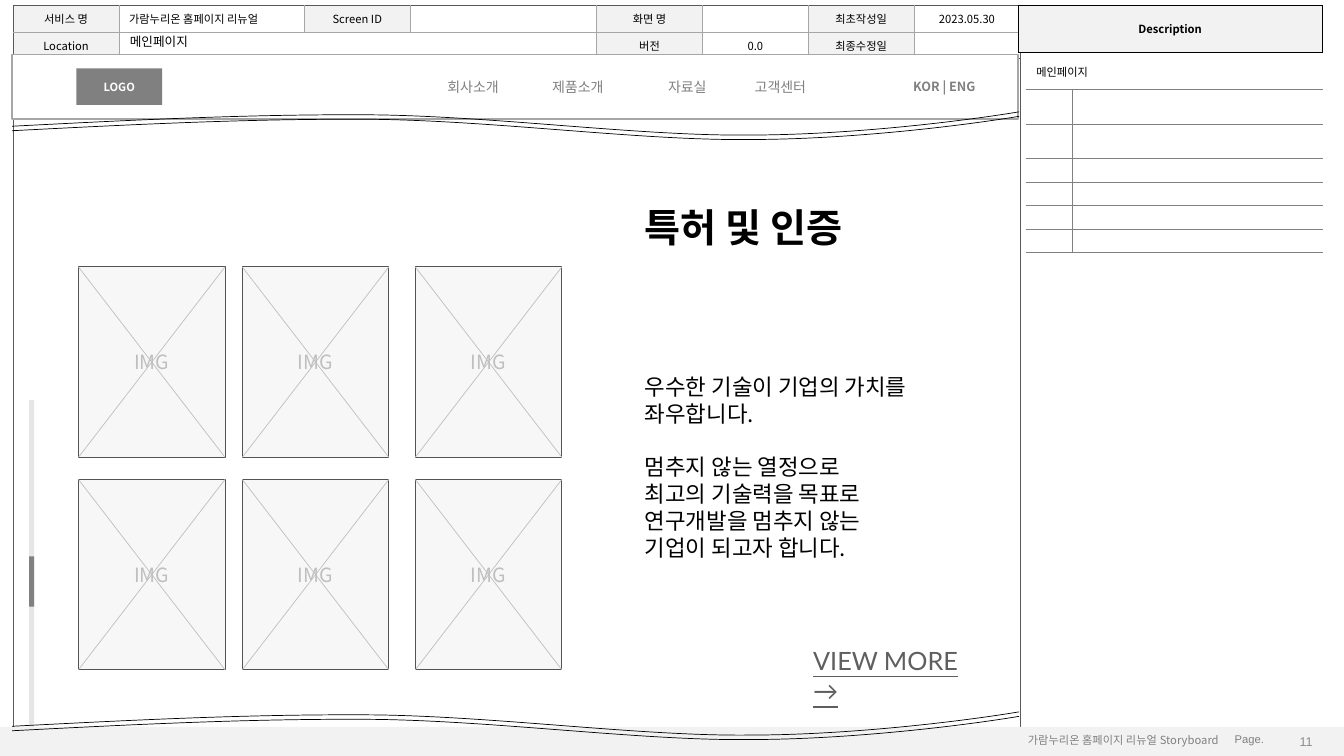
from itertools import product
from typing import NamedTuple

from lxml import etree
from pptx import Presentation, util as u
from pptx.dml.color import RGBColor
from pptx.enum import shapes, text
from pptx.oxml import ns


class Theme:
    """Colours, fonts and type sizes of the storyboard."""
    black, white, panel = "000000", "FFFFFF", "F2F2F2"
    grey, dark, rule, pale = "808080", "595959", "A6A6A6", "BFBFBF"
    frame, track, number, link = "535353", "E7E6E6", "8C8C8C", "5F5F5F"
    korean, plain, latin = "Noto Sans CJK KR", "Arial", "Lato"
    tiny, small, label, menu = 6, 8, 9, 10
    image, body, button, title = 14, 16, 18, 28
    line_ratio = 1.2


class Box(NamedTuple):
    """A rectangle in points."""
    left: float
    top: float
    width: float
    height: float

    def inner(self, left, top, width, height):
        """Return a box placed relative to this one."""
        return Box(self.left + left, self.top + top, width, height)

    def lengths(self):
        """Return the four values as lengths."""
        return [u.Pt(value) for value in self]


LEFT, CENTER, RIGHT = (text.PP_ALIGN.LEFT, text.PP_ALIGN.CENTER,
                       text.PP_ALIGN.RIGHT)
MIDDLE = text.MSO_ANCHOR.MIDDLE
COMPANY = "가람누리온 홈페이지 리뉴얼"


def apply(target, values):
    """Set every attribute named in the values."""
    for name, value in values.items():
        setattr(target, name, value)


def add_child(parent, tag, **attributes):
    """Append a drawing element to its parent."""
    return etree.SubElement(parent, ns.qn(tag), attributes)


def write(para, words, size, color=Theme.black, font=Theme.korean, **styles):
    """Write one formatted span in a paragraph."""
    span = para.add_run()
    span.text = words
    apply(span.font, {"size": u.Pt(size), "name": font, **styles})
    span.font.color.rgb = RGBColor.from_string(color)
    add_child(span.font._element, "a:ea", typeface=font)


def put_text(page, box, lines, size, color=Theme.black, align=LEFT, **styles):
    """Add a text box with one paragraph per line."""
    frame = page.shapes.add_textbox(*box.lengths()).text_frame
    frame.word_wrap = True
    for index, words in enumerate(lines):
        para = frame.add_paragraph() if index else frame.paragraphs[0]
        apply(para, {"alignment": align,
                     "line_spacing": u.Pt(size * Theme.line_ratio)})
        write(para, words, size, color, **styles)
    return frame


def set_line(line, color, width):
    """Colour a line and set its width."""
    line.color.rgb = RGBColor.from_string(color)
    line.width = u.Pt(width)


def put_rect(page, box, fill, line=None, width=1):
    """Add a plain rectangle."""
    rect = page.shapes.add_shape(shapes.MSO_SHAPE.RECTANGLE, *box.lengths())
    rect.shadow.inherit = False
    rect.fill.solid()
    rect.fill.fore_color.rgb = RGBColor.from_string(fill)
    if line:
        set_line(rect.line, line, width)
    else:
        rect.line.fill.background()
    return rect


def label_rect(rect, words, size, color, **styles):
    """Centre a label in a rectangle."""
    rect.text_frame.vertical_anchor = MIDDLE
    para = rect.text_frame.paragraphs[0]
    para.alignment = CENTER
    write(para, words, size, color, **styles)


def put_table(page, box, widths, heights):
    """Add a table without a banded style."""
    table = page.shapes.add_table(len(heights), len(widths),
                                  *box.lengths()).table
    apply(table, {"first_row": False, "horz_banding": False})
    style = table._tbl.tblPr.find(ns.qn("a:tableStyleId"))
    style.text = "{2D5ABB26-0587-4C30-8999-92F81FD0307C}"
    for column, width in zip(table.columns, widths):
        column.width = u.Pt(width)
    for row, height in zip(table.rows, heights):
        row.height = u.Pt(height)
    return table


def fill_cell(cell, words, borders, fill=None, width=0.5, align=CENTER,
              empty=Theme.small, **styles):
    """Set the borders, the fill and the words of a cell."""
    props = cell._tc.get_or_add_tcPr()
    for side in "LRTB":
        if side in borders:
            edge = add_child(props, f"a:ln{side}", w=str(u.Pt(width)))
            add_child(add_child(edge, "a:solidFill"), "a:srgbClr",
                      val=borders[side])
    if fill:
        cell.fill.solid()
        cell.fill.fore_color.rgb = RGBColor.from_string(fill)
    else:
        cell.fill.background()
    cell.vertical_anchor = MIDDLE
    para = cell.text_frame.paragraphs[0]
    para.alignment = align
    if words:
        write(para, words, Theme.small, **styles)
    else:
        add_child(para._p, "a:endParaRPr", sz=str(empty * 100))


def draw_header(page, box):
    """Draw the document table and the frame of the screen below it."""
    widths = [75.6, 132.5, 75.6, 133.2] + [75.6] * 4
    rows = [["서비스 명", COMPANY, "Screen ID", "", "화면 명", "",
             "최초작성일", "2023.05.30"],
            ["Location", "", "", "", "버전", "0.0", "최종수정일", ""],
            [""] * 8]
    table = put_table(page, box, widths, [18.9, 18.9, box.height - 37.8])
    table.cell(1, 1).merge(table.cell(1, 3))
    table.cell(2, 0).merge(table.cell(2, 7))
    for (y, row), x in product(enumerate(rows), range(8)):
        borders = {"L": Theme.rule if x and y < 2 else Theme.dark,
                   "R": Theme.rule if x < 7 and y < 2 else Theme.dark,
                   "T": Theme.rule if y == 1 else Theme.dark,
                   "B": Theme.rule if y == 0 else Theme.dark}
        is_label = x % 2 == 0 and y < 2 and row[x]
        fill_cell(table.cell(y, x), row[x], borders,
                  Theme.panel if is_label else Theme.white,
                  align=LEFT if x == 1 else CENTER)
    put_text(page, box.inner(76.3, 16.6, 60, 18), ["메인페이지"], Theme.label)


def draw_footer(page, box):
    """Draw the footer band with its captions."""
    put_rect(page, box, Theme.panel)
    put_text(page, box.inner(874.8, 0.7, 42.5, 17.3), ["Page."], Theme.small,
             Theme.grey, font=Theme.plain)
    put_text(page, box.inner(727.2, 1.4, 163.4, 17.3),
             [COMPANY + " Storyboard"], Theme.small, Theme.grey)
    frame = put_text(page, box.inner(902.2, 0.7, 42.5, 19.4), ["11"],
                     Theme.label, Theme.number, RIGHT, font=Theme.plain)
    frame.vertical_anchor = MIDDLE


def draw_description(page, box):
    """Draw the description heading and its empty list."""
    heading = put_table(page, box.inner(0, 0, box.width, 33.8),
                        [box.width], [33.8])
    fill_cell(heading.cell(0, 0), "Description",
              dict.fromkeys("LRTB", Theme.black), Theme.panel, bold=True)
    heights = [25.2, 24.5, 24.5] + [16.9] * 4
    listing = put_table(page, box.inner(5.8, 35, 211.7, sum(heights)),
                        [33.1, 178.6], heights)
    listing.cell(0, 0).merge(listing.cell(0, 1))
    for y, x in product(range(len(heights)), range(2)):
        cell = listing.cell(y, x)
        sides = "B" if y == 0 else "RTB" if x == 0 else "LTB"
        if y:
            apply(cell, {"margin_top": 0, "margin_bottom": 0})
        fill_cell(cell, "" if y or x else "메인페이지",
                  dict.fromkeys(sides, Theme.grey),
                  None if y else Theme.white, 0.25, LEFT, Theme.tiny)


def draw_menu(page, box):
    """Draw the menu bar of the screen."""
    put_rect(page, box, Theme.white, Theme.rule)
    logo = put_rect(page, box.inner(46, 10, 61.2, 26), Theme.grey)
    label_rect(logo, "LOGO", Theme.small, Theme.white, bold=True)
    entries = {"회사소개": 303.9, "제품소개": 378.7, "자료실": 461.5,
               "고객센터": 523.4}
    for words, left in entries.items():
        put_text(page, box.inner(left, 13.7, 56, 19.4), [words], Theme.menu,
                 Theme.grey)
    put_text(page, box.inner(636.5, 13.7, 63, 18), ["KOR | ENG"],
             Theme.label, Theme.grey, bold=True)


def draw_scrollbar(page, box):
    """Draw the scroll track and its thumb."""
    put_rect(page, box, Theme.track)
    put_rect(page, box.inner(0, 111.6, box.width, 36), Theme.grey)


def draw_wave(page, box):
    """Draw a double wavy section break."""
    points = [(0, 10.3), (87, 5.8), (173.5, 1.4), (261.4, 2.2), (349.2, 3.6),
              (449.3, 17.3), (525.6, 16.6), (602, 16.6), (684.7, 5.8),
              (box.width, 0)]
    for shift in (0, 3.2):
        start, *rest = [(u.Pt(box.left + x), u.Pt(box.top + shift + y))
                        for x, y in points]
        builder = page.shapes.build_freeform(*start)
        builder.add_line_segments(rest, close=False)
        wave = builder.convert_to_shape()
        wave.shadow.inherit = False
        wave.fill.background()
        set_line(wave.line, Theme.black, 0.5)
        outline = wave._element.find(".//" + ns.qn("a:path"))
        steps = outline.findall(ns.qn("a:lnTo"))
        for index in range(0, len(steps), 3):
            curve = add_child(outline, "a:cubicBezTo")
            for step in steps[index:index + 3]:
                curve.append(step[0])
                outline.remove(step)


def draw_image_slot(page, box):
    """Draw one crossed image placeholder."""
    slot = put_rect(page, box, Theme.panel, Theme.frame, 0.75)
    tint = slot._element.spPr.find(ns.qn("a:solidFill"))[0]
    add_child(tint, "a:alpha", val="60000")
    label_rect(slot, "IMG", Theme.image, Theme.pale)
    left, top, width, height = box.lengths()
    for start, end in ((left + width, left), (left, left + width)):
        cross = page.shapes.add_connector(shapes.MSO_CONNECTOR.STRAIGHT,
                                          start, top, end, top + height)
        set_line(cross.line, Theme.pale, 0.5)
        add_child(cross._element.spPr, "a:effectLst")


def draw_gallery(page, box):
    """Draw two rows of three image placeholders."""
    for top, left in product((0, 151.8), (0, 117, 240.6)):
        draw_image_slot(page, box.inner(left, top, 104.8, 136.1))


def draw_message(page, box):
    """Draw the section title, its text and the link."""
    put_text(page, box.inner(0, 0, 175.7, 41), ["특허 및 인증"], Theme.title,
             bold=True)
    lines = ["우수한 기술이 기업의 가치를 좌우합니다.", "멈추지 않는 열정으로",
             "최고의 기술력을 목표로", "연구개발을 멈추지 않는",
             "기업이 되고자 합니다."]
    frame = put_text(page, box.inner(0, 121, 228.2, 143.3), lines, Theme.body)
    frame.paragraphs[0].space_after = u.Pt(Theme.body * Theme.line_ratio)
    put_text(page, box.inner(120.2, 315.4, 132.5, 50), ["VIEW MORE →"],
             Theme.button, Theme.link, font=Theme.latin, underline=True)


def main():
    """Build the storyboard page."""
    deck = Presentation()
    apply(deck, {"slide_width": u.Pt(960), "slide_height": u.Pt(540)})
    page = deck.slides.add_slide(deck.slide_layouts[6])
    draw_header(page, Box(9.4, 4, 717.8, 518))
    draw_footer(page, Box(0, 519.1, 960, 20.9))
    draw_description(page, Box(727.2, 3.7, 217.4, 180))
    draw_menu(page, Box(8.6, 38.9, 718.6, 46.1))
    draw_scrollbar(page, Box(20.9, 285.8, 3.6, 233.3))
    for top in (79.9, 508.5):
        draw_wave(page, Box(8.6, top, 719.3, 20.5))
    draw_gallery(page, Box(56, 190.6, 345.4, 287.9))
    draw_message(page, Box(453.6, 141.8, 252.7, 365.4))
    deck.save("out.pptx")


if __name__ == "__main__":
    main()
